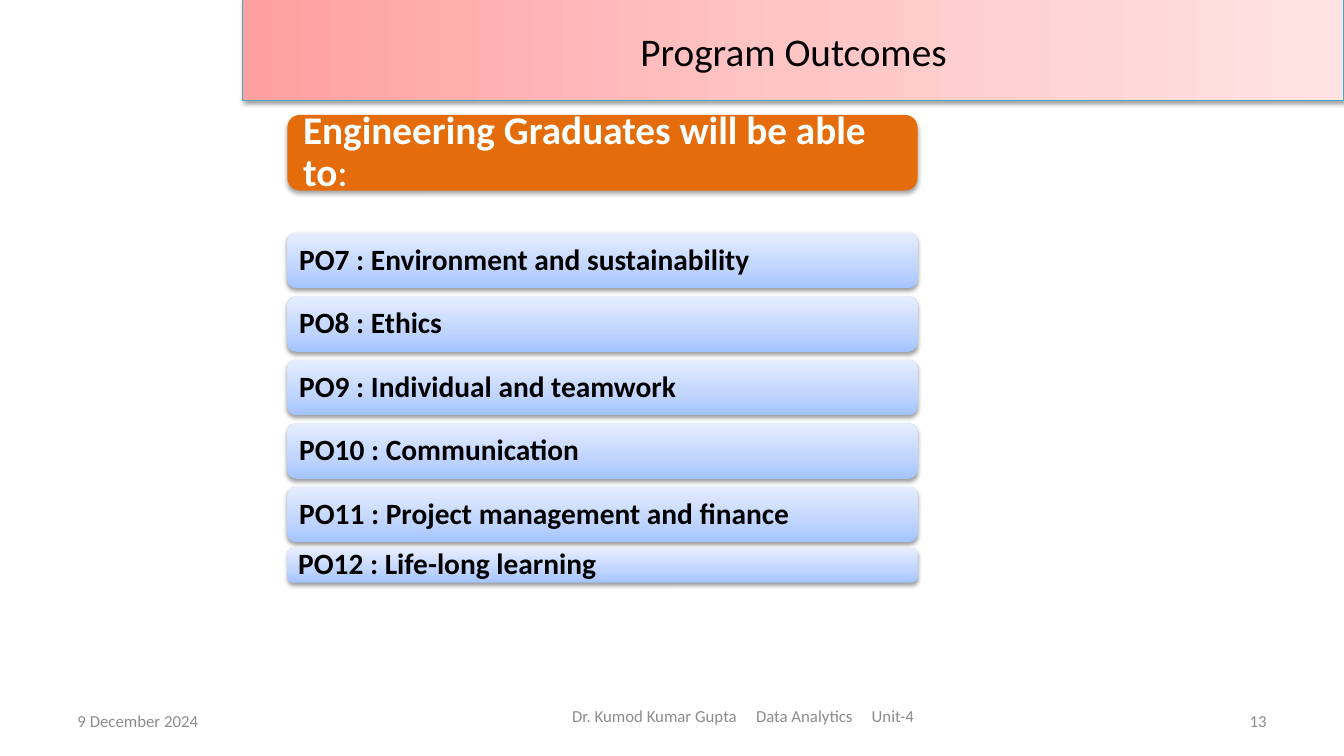
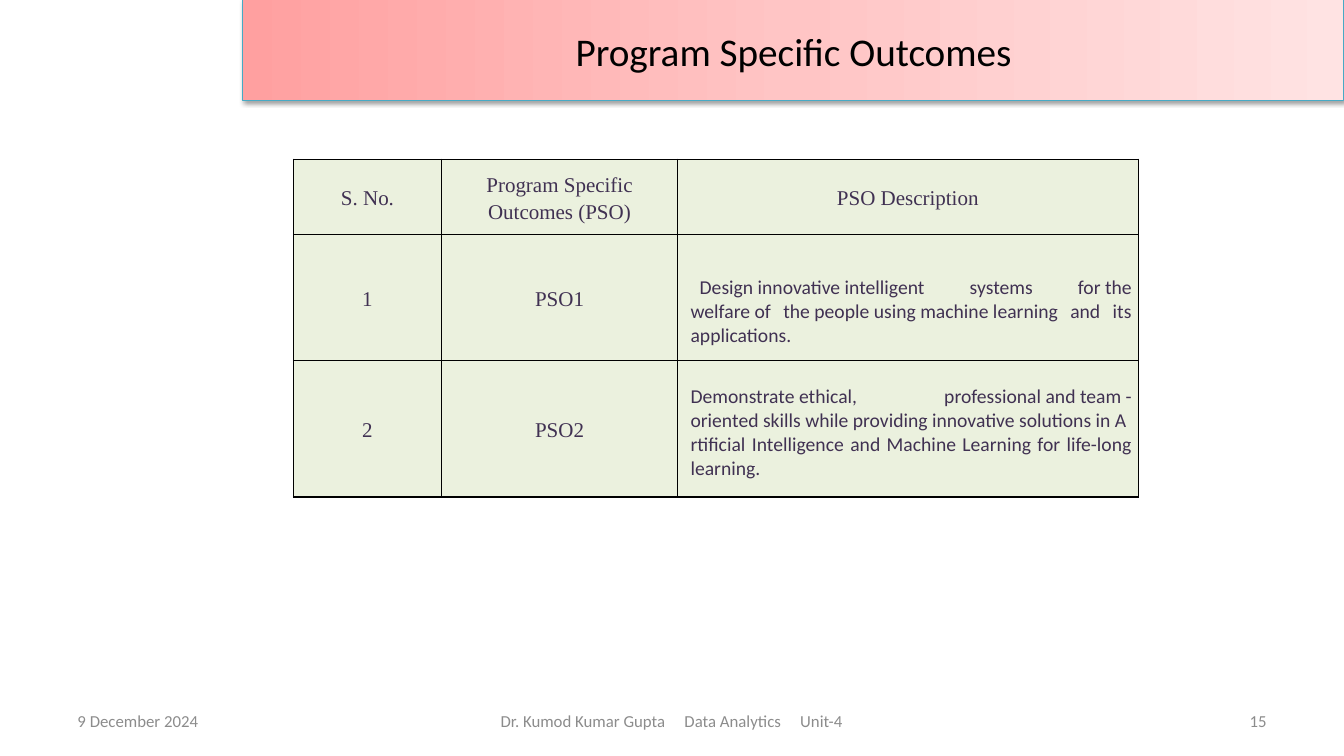
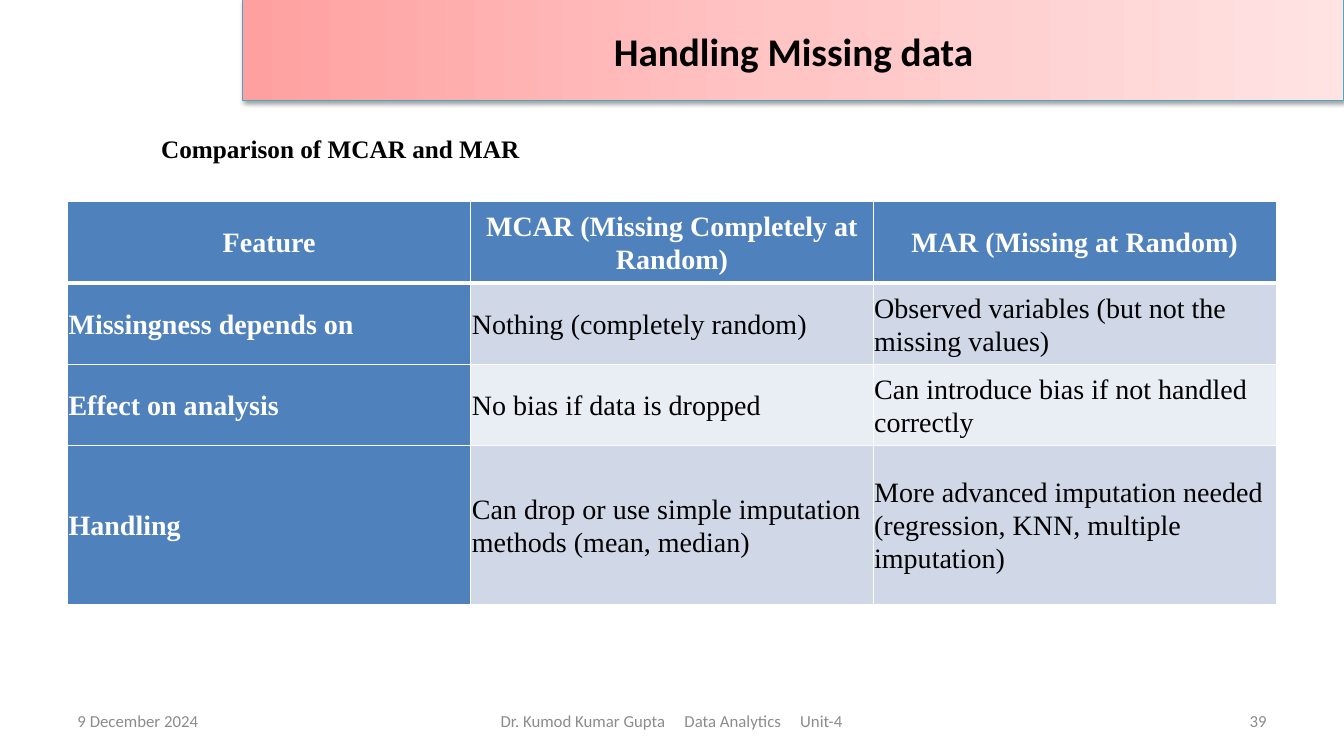
import lxml.etree
import pptx
import pptx.dml.color
import pptx.enum.shapes
import pptx.enum.text
import pptx.oxml.ns
import pptx.util

Inches = pptx.util.Inches
Pt = pptx.util.Pt
qn = pptx.oxml.ns.qn
SHAPE = pptx.enum.shapes.MSO_SHAPE
ALIGN = pptx.enum.text.PP_ALIGN
ANCHOR = pptx.enum.text.MSO_ANCHOR

# Shared look
WIDE, HIGH = 13.33, 7.5
SANS, SERIF = "Calibri", "Times New Roman"
BLACK, WHITE, GREY = "000000", "FFFFFF", "8C8C8C"
PLUM, SAGE, BLUE, ORANGE = "403152", "EBF1DE", "4F81BD", "E46C0A"
TINTS = ["D0D8E8", "E9EDF4"]
PINK = [(0, "FFA0A0"), (50, "FFC5C5"), (100, "FFE3E3")]
SKY = [(0, "A4C4FF"), (35, "BFD4FF"), (100, "E6EEFF")]
BAND = (2.41, 0, WIDE - 2.41, 1)
FOOT = (4.55, 6.95, 4.22, 0.4)


def color(code):
    return pptx.dml.color.RGBColor.from_string(code)


def node(parent, tag, **attrs):
    return lxml.etree.SubElement(parent, qn(tag), attrs)


def place(box):
    return [Inches(n) for n in box]


def bind(text):
    """Turn each ~ into a space that does not break."""
    return text.replace("~", chr(160))


def style(run, size, font=SANS, ink=BLACK, bold=False):
    run.font.size = Pt(size)
    run.font.name = font
    run.font.bold = bold
    run.font.color.rgb = color(ink)


def write(frame, text, size, font=SANS, ink=BLACK, bold=False,
          align=ALIGN.LEFT, space=None):
    frame.text = text
    frame.word_wrap = True
    for para in frame.paragraphs:
        para.alignment = align
        if space:
            para.line_spacing = space
        for run in para.runs:
            style(run, size, font, ink, bold)


def label(slide, box, text, size, anchor=ANCHOR.MIDDLE, **look):
    frame = slide.shapes.add_textbox(*place(box)).text_frame
    write(frame, text, size, **look)
    frame.vertical_anchor = anchor
    return frame


def blend(shape, stops, angle):
    shape.fill.gradient()
    shape.fill.gradient_angle = angle
    ramp = shape._element.spPr.find(qn("a:gradFill")).find(qn("a:gsLst"))
    ramp.clear()
    for pos, code in stops:
        stop = node(ramp, "a:gs", pos=str(pos * 1000))
        node(stop, "a:srgbClr", val=code)


def panel(slide, kind, box, shade=38, drop=1.6):
    shape = slide.shapes.add_shape(kind, *place(box))
    shape.line.fill.background()
    shape.shadow.inherit = False
    effect = shape._element.spPr.find(qn("a:effectLst"))
    cast = node(effect, "a:outerShdw", blurRad=str(Pt(3.1)),
                dist=str(Pt(drop)), dir="5400000", rotWithShape="0")
    node(node(cast, "a:srgbClr", val=BLACK), "a:alpha", val=str(shade * 1000))
    shape.text_frame.vertical_anchor = ANCHOR.MIDDLE
    return shape


# Title band
def band(slide, title, bold=False):
    shape = panel(slide, SHAPE.RECTANGLE, BAND)
    blend(shape, PINK, 0)
    shape.line.color.rgb = color("46AAC5")
    shape.line.width = Pt(0.75)
    write(shape.text_frame, title, 28, bold=bold, align=ALIGN.CENTER)


# Date, course and page number
def footer(slide, page, box=FOOT):
    label(slide, (0.67, 6.95, 3.11, 0.4), "9 December 2024", 12, ink=GREY)
    label(slide, (9.55, 6.95, 3.11, 0.4), page, 12, ink=GREY,
          align=ALIGN.RIGHT)
    para = label(slide, box, "", 12, align=ALIGN.CENTER).paragraphs[0]
    for part in ["Dr. Kumod Kumar Gupta", " ", "Data Analytics", " ", "Unit-4"]:
        run = para.add_run()
        run.text = part
        style(run, 12, ink=GREY)
        if part == " ":
            run.font._element.set("spc", "1085")


def start(deck, title, page, bold=False, foot=FOOT):
    slide = deck.slides.add_slide(deck.slide_layouts[6])
    band(slide, title, bold)
    footer(slide, page, foot)
    return slide


# Rounded bars under a heading bar
def bars(slide, left, top, width, head, items):
    def bar(y, high, text, size, ink, pad, **cast):
        shape = panel(slide, SHAPE.ROUNDED_RECTANGLE,
                      (left, y, width, high), **cast)
        frame = shape.text_frame
        write(frame, text, size, ink=ink, bold=True, space=0.9)
        frame.margin_left = frame.margin_right = Inches(pad)
        frame.margin_top = frame.margin_bottom = Inches(pad)
        return shape

    shape = bar(top, 0.75, head, 28, WHITE, 0.12, shade=35, drop=1.8)
    shape.fill.solid()
    shape.fill.fore_color.rgb = color(ORANGE)
    colon = shape.text_frame.paragraphs[0].add_run()
    colon.text = ":"
    style(colon, 28, ink=WHITE)

    last = len(items) - 1
    for i, text in enumerate(items):
        y, high = top + 1.17 + 0.63 * i, 0.55
        if i == last:
            y, high = y - 0.02, 0.34
        blend(bar(y, high, text, 21, BLACK, 0.09), SKY, 90)


# Table with plain fills and ruled cells
def edges(cell, code, widths):
    props = cell._tc.get_or_add_tcPr()
    for i, (side, width) in enumerate(zip("LRTB", widths)):
        line = node(props, "a:ln" + side, w=str(Pt(width)))
        node(node(line, "a:solidFill"), "a:srgbClr", val=code)
        props.insert(i, line)


def grid(slide, left, top, cols, rows, data, rule, pads, look, thick=1):
    box = (left, top, sum(cols), sum(rows))
    table = slide.shapes.add_table(len(rows), len(cols), *place(box)).table
    table.first_row = table.horz_banding = False
    for col, width in zip(table.columns, cols):
        col.width = Inches(width)
    for r, texts in enumerate(data):
        table.rows[r].height = Inches(rows[r])
        for c, text in enumerate(texts):
            cell = table.cell(r, c)
            fill, font = look(r, c)
            write(cell.text_frame, text, **font)
            cell.vertical_anchor = ANCHOR.MIDDLE
            cell.margin_left = cell.margin_right = Inches(pads[0])
            cell.margin_top = cell.margin_bottom = Inches(pads[1])
            cell.fill.solid()
            cell.fill.fore_color.rgb = color(fill)
            edges(cell, rule, (1, 1, thick if r == 1 else 1,
                               thick if r == 0 else 1))
    return table


def goals(deck):
    slide = start(deck, "Program Outcomes", "13",
                  foot=(5.08, 6.95, 4.58, 0.3))
    bars(slide, 2.85, 1.14, 6.25, "Engineering Graduates will be able to", [
        "PO7 : Environment and sustainability",
        "PO8 : Ethics",
        "PO9 : Individual and teamwork",
        "PO10 : Communication",
        "PO11 : Project management and finance",
        "PO12 : Life-long learning",
    ])


def aims(deck):
    slide = start(deck, "Program Specific Outcomes", "15")
    data = [
        ["S. No.", "Program Specific\nOutcomes (PSO)", "PSO Description"],
        ["1", "PSO1", bind(
            "Design~innovative~intelligent systems for~the welfare~of "
            "the~people~using~machine~learning and its applications.")],
        ["2", "PSO2", bind(
            "Demonstrate~ethical, professional~and~team~- "
            "oriented~skills~while~providing~innovative~solutions~in~"
            "Artificial Intelligence and Machine Learning for life-long "
            "learning.")],
    ]

    def look(r, c):
        if r and c == 2:
            return SAGE, dict(size=14, ink=PLUM, align=ALIGN.JUSTIFY)
        return SAGE, dict(size=15, font=SERIF, ink=PLUM,
                          align=ALIGN.CENTER, space=1.15)

    table = grid(slide, 2.91, 1.58, [1.47, 2.34, 4.57], [0.75, 1.25, 1.35],
                 data, BLACK, (0.06, 0), look)
    # Descriptions hang from the top of their cells
    for r, drop, indent in [(1, 0.41, 0.09), (2, 0.24, 0)]:
        cell = table.cell(r, 2)
        cell.vertical_anchor = ANCHOR.TOP
        cell.margin_top = Inches(drop)
        props = cell.text_frame.paragraphs[0]._p.get_or_add_pPr()
        props.set("marL", str(Inches(0.07)))
        props.set("indent", str(Inches(indent)))


def gaps(deck):
    slide = start(deck, "Handling Missing data", "39", bold=True)
    label(slide, (1.5, 1.25, 6.7, 0.41), "Comparison of MCAR and MAR", 18,
          anchor=ANCHOR.TOP, font=SERIF, bold=True, space=1.07)
    data = [
        ["Feature", "MCAR (Missing Completely at Random)",
         "MAR (Missing at Random)"],
        ["Missingness depends on", "Nothing (completely random)",
         "Observed variables (but not the missing values)"],
        ["Effect on analysis", "No bias if data is dropped",
         "Can introduce bias if not handled correctly"],
        ["Handling",
         "Can drop or use simple imputation methods (mean, median)",
         "More advanced imputation needed (regression, KNN, multiple "
         "imputation)"],
    ]

    def look(r, c):
        head = r == 0 or c == 0
        return BLUE if head else TINTS[(r - 1) % 2], dict(
            size=20, font=SERIF, ink=WHITE if head else BLACK, bold=head,
            align=ALIGN.LEFT if r else ALIGN.CENTER, space=1.07)

    grid(slide, 0.67, 2, [4, 3.99, 4], [0.81, 0.81, 0.8, 1.58], data, WHITE,
         (0.01, 0.01), look, thick=3)


def main():
    deck = pptx.Presentation()
    deck.slide_width, deck.slide_height = Inches(WIDE), Inches(HIGH)
    for build in (goals, aims, gaps):
        build(deck)
    deck.save("out.pptx")


if __name__ == "__main__":
    main()
